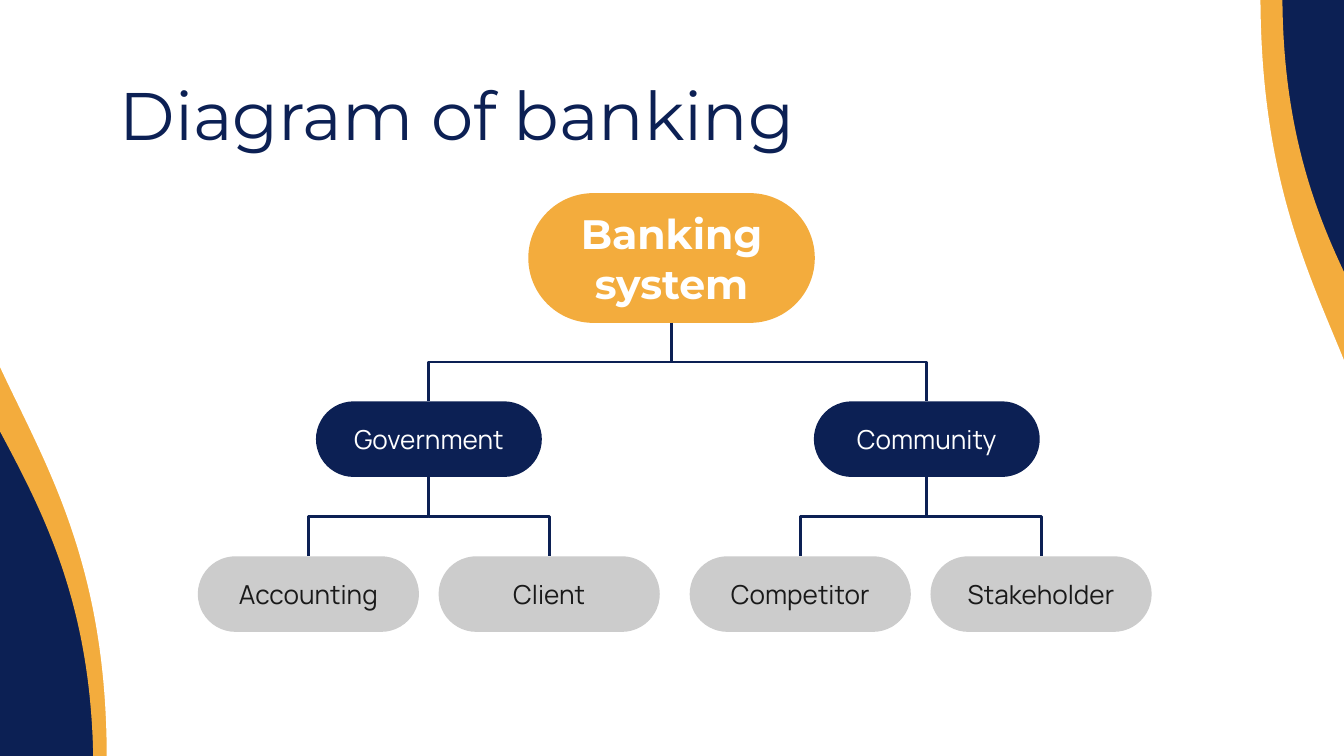
from lxml.etree import SubElement
from pptx import Presentation
from pptx.dml.color import RGBColor
from pptx.enum.shapes import MSO_CONNECTOR as Link, MSO_SHAPE as Kind
from pptx.enum.text import MSO_ANCHOR as Anchor, PP_ALIGN as Align
from pptx.oxml.ns import qn
from pptx.util import Pt

NAVY, GOLD, WHITE = "0C2054", "F3AC3D", "FFFFFF"
GREY, INK = "CCCCCC", "191919"
HEAD, BODY = "Montserrat", "Manrope"


def tint(code):
    return RGBColor.from_string(code)


def write(frame, text, size=14, font=BODY, color=INK, bold=False, align=Align.CENTER):
    frame.word_wrap = True
    frame.vertical_anchor = Anchor.MIDDLE
    frame.margin_left = frame.margin_right = Pt(7.2)
    frame.margin_top = frame.margin_bottom = Pt(7.2)
    para = frame.paragraphs[0]
    para.alignment = align
    run = para.add_run()
    run.text = text
    run.font.size, run.font.name, run.font.bold = Pt(size), font, bold
    run.font.color.rgb = tint(color)


class Board:
    """Holds the line style and the current slide."""

    def __init__(self, slide, line=NAVY, weight=1.5):
        self.slide, self.line, self.weight = slide, line, weight

    def ground(self, color):
        fill = self.slide.background.fill
        fill.solid()
        fill.fore_color.rgb = tint(color)

    def shape(self, kind, box, color):
        shape = self.slide.shapes.add_shape(kind, *map(Pt, box))
        shape.shadow.inherit = False
        shape.fill.solid()
        shape.fill.fore_color.rgb = tint(color)
        shape.line.fill.background()
        return shape

    def wave(self, box, color, turn):
        self.shape(Kind.FLOWCHART_DOCUMENT, box, color).rotation = turn

    def pill(self, box, fill, text, **style):
        pill = self.shape(Kind.ROUNDED_RECTANGLE, box, fill)
        pill.adjustments[0] = 0.5
        write(pill.text_frame, text, **style)
        return pill

    def label(self, box, text, **style):
        label = self.slide.shapes.add_textbox(*map(Pt, box))
        write(label.text_frame, text, **style)

    def branch(self, top, low):
        """Elbow from the bottom of one pill to the top of another."""
        x1, y1 = top.left + top.width // 2, top.top + top.height
        x2, y2 = low.left + low.width // 2, low.top
        link = self.slide.shapes.add_connector(Link.ELBOW, x1, y1, x2, y2)
        link.begin_connect(top, 2)
        link.end_connect(low, 0)
        link.line.color.rgb = tint(self.line)
        link.line.width = Pt(self.weight)
        # Turn the elbow so that it leaves and arrives vertically
        wide, high = y2 - y1, abs(x2 - x1)
        link.left, link.top = (x1 + x2 - wide) // 2, (y1 + y2 - high) // 2
        link.width, link.height = wide, high
        right = x2 > x1
        props = link.element.spPr
        frame = props.find(qn("a:xfrm"))
        frame.set("rot", "16200000" if right else "5400000")
        frame.set("flipH", "1" if right else "0")
        frame.set("flipV", "0")
        SubElement(props, qn("a:effectLst"))


def main():
    deck = Presentation()
    deck.slide_width, deck.slide_height = Pt(720), Pt(405)
    board = Board(deck.slides.add_slide(deck.slide_layouts[6]))

    # Curved corners
    board.ground(NAVY)
    board.wave((-12, -27.5, 409, 472), GOLD, 90)
    board.wave((340, -34.5, 409, 472), GOLD, 270)
    board.wave((359.5, 17.5, 409, 368.5), WHITE, 270)
    board.wave((-20, -29.5, 424, 446.5), WHITE, 90)

    # Title
    board.label((57, 42, 607, 38), "Diagram of banking", size=36,
                font=HEAD, color=NAVY, align=Align.LEFT)

    # Tree: each group has its left edge, its name and its leaves
    root = board.pill((283, 103.5, 153.5, 69.5), GOLD, "Banking system",
                      size=22, font=HEAD, color=WHITE, bold=True)
    groups = [
        (169.25, "Government", 106, ("Accounting", "Client")),
        (436, "Community", 369.5, ("Competitor", "Stakeholder")),
    ]
    for left, name, start, leaves in groups:
        group = board.pill((left, 215, 121, 40.5), NAVY, name, color=WHITE)
        board.branch(root, group)
        for i, leaf in enumerate(leaves):
            box = (start + 129 * i, 298, 118.5, 40.5)
            board.branch(group, board.pill(box, GREY, leaf))

    deck.save("out.pptx")


if __name__ == "__main__":
    main()
